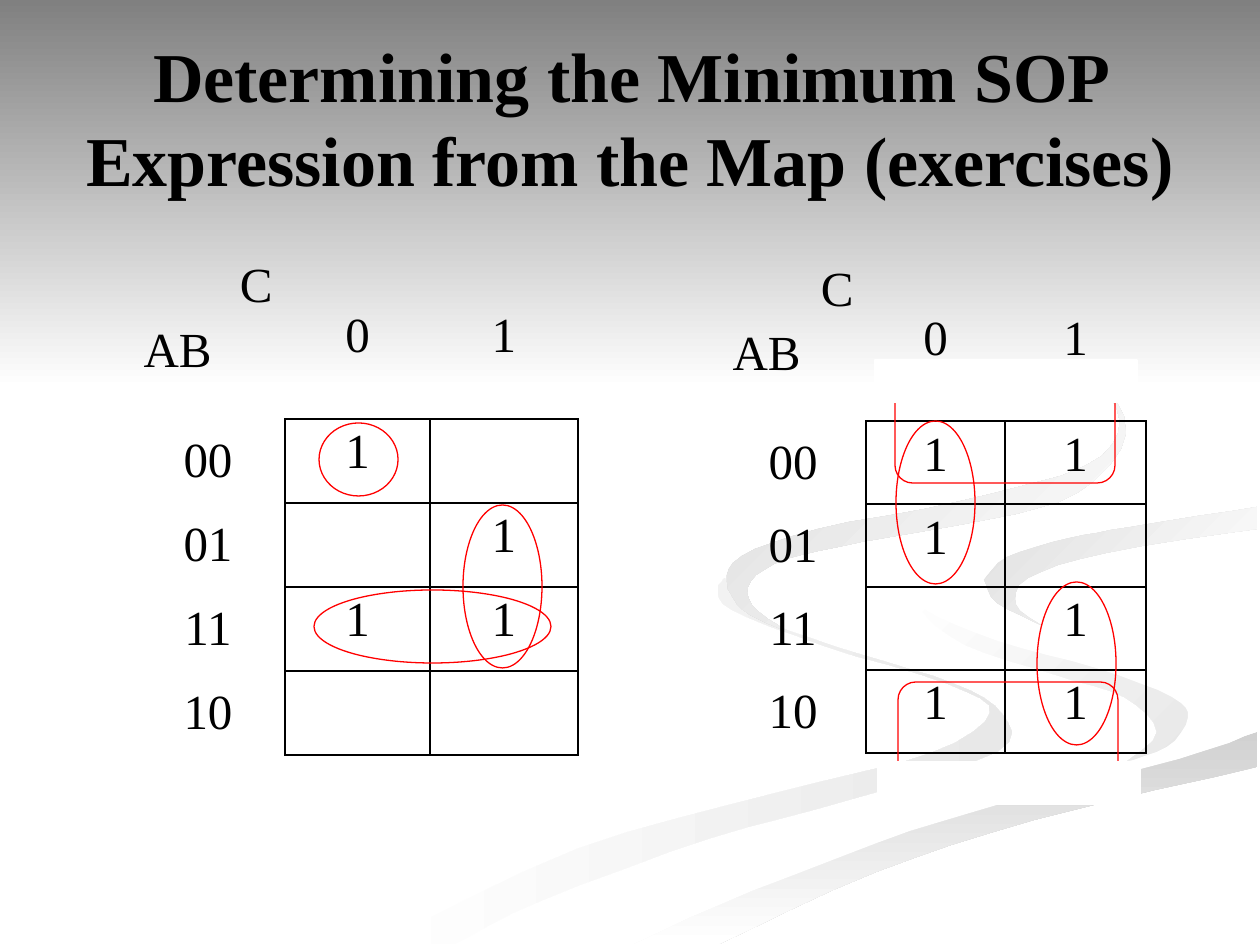
from lxml import etree
from pptx import Presentation, util as u
from pptx.dml.color import RGBColor
from pptx.enum import shapes, text
from pptx.oxml.ns import qn

PX = u.Inches(1) / 126
FONT = "Times New Roman"
COLORS = {
    "ink": "000000", "loop": "FF0000", "paper": "FFFFFF", "sky": "808080",
    "pale": "E8E8E8", "stream": "D1D1D1", "bend": "E0E0E0", "curl": "D8D8D8",
}
AB_ORDER = ["00", "01", "11", "10"]
C_ORDER = ["0", "1"]
LOOP_SIZES = {"single": (79, 73), "pair down": (79, 163), "pair across": (237, 73)}
STEPS_PER_KNOT = 4

SWOOSH_RIM = [(912, 585), (924, 609), (998, 641), (1096, 668), (1172, 697), (1188, 718),
              (1167, 747), (1126, 762)]
SWOOSH_INSIDE = [(1126, 762), (1157, 732), (1124, 697), (1056, 675), (965, 645),
                 (920, 610), (912, 585)]
STREAM_TOP = [(634, 944), (717, 906), (877, 843), (1004, 803), (1179, 759), (1257, 732)]
STREAM_BOTTOM = [(1257, 767), (1034, 820), (876, 872), (719, 944)]
BEND_TOP = [(984, 580), (1007, 557), (1070, 538), (1131, 527), (1257, 507)]
BEND_BOTTOM = [(1257, 529), (1106, 553), (1028, 578), (1016, 605), (1041, 625)]
BEND_TIP = [(1041, 625), (997, 603), (984, 580)]
RIBBON_TAIL = [(1126, 762), (983, 799), (780, 862), (601, 944)]
RIBBON_UNDERSIDE = [(1259, 678), (1139, 654), (1029, 620), (984, 580)]
RIBBON_CREST = [(1259, 488), (1072, 518), (935, 553), (912, 585)]
TAIL_OUTSIDE = [(378, 944), (577, 849), (776, 793), (931, 753), (990, 713), (948, 684),
                (824, 646), (732, 610), (718, 590), (725, 578)]
TAIL_INSIDE = [(725, 578), (735, 601), (774, 625), (859, 654), (954, 684), (1002, 714),
               (997, 752), (852, 799), (711, 838), (543, 900), (455, 944)]
CURL_INSIDE = [(960, 294), (1014, 320), (1086, 368), (1120, 422), (1085, 466), (961, 501),
               (818, 529), (742, 556), (727, 582), (743, 610), (784, 630)]
CURL_OUTSIDE = [(784, 630), (752, 605), (751, 581), (786, 559), (861, 542), (990, 519),
                (1077, 493), (1126, 433), (1089, 367), (1021, 323), (960, 294)]

BACKDROP = [
    ([TAIL_OUTSIDE, TAIL_INSIDE], "paper", "pale", 0),
    ([SWOOSH_RIM, SWOOSH_INSIDE], "paper", "pale", 45),
    ([STREAM_TOP, STREAM_BOTTOM], "stream", "paper", 90),
    ([SWOOSH_RIM, RIBBON_TAIL, STREAM_TOP, RIBBON_UNDERSIDE, BEND_TOP, RIBBON_CREST],
     "paper", "paper", 0),
    ([BEND_TOP, BEND_BOTTOM, BEND_TIP], "bend", "paper", 45),
    ([CURL_INSIDE, CURL_OUTSIDE], "curl", "paper", 45),
    ([[(0, 0), (1260, 0)], [(1260, 388), (0, 388)]], "sky", "paper", 90),
]


def px(*lengths):
    return [u.Emu(round(length * PX)) for length in lengths]


def color(name):
    return RGBColor.from_string(COLORS[name])


def catmull_rom(before, start, end, after, t):
    return round(start + t / 2 * (
        end - before
        + t * (2 * before - 5 * start + 4 * end - after)
        + t * t * (3 * (start - end) + after - before)
    ))


def smooth(knots):
    padded = [knots[0], *knots, knots[-1]]
    curve = []
    for neighbours in zip(padded, padded[1:], padded[2:], padded[3:]):
        xs, ys = zip(*neighbours)
        for step in range(STEPS_PER_KNOT):
            t = step / STEPS_PER_KNOT
            curve.append((catmull_rom(*xs, t), catmull_rom(*ys, t)))
    return curve + [knots[-1]]


def add_ribbon(slide, edges, start, end, clockwise):
    outline = [point for edge in edges for point in smooth(edge)]
    builder = slide.shapes.build_freeform(*outline[0], scale=PX)
    builder.add_line_segments(outline[1:], close=True)
    ribbon = builder.convert_to_shape()
    ribbon.shadow.inherit = False
    ribbon.line.fill.background()
    if start == end:
        ribbon.fill.solid()
        ribbon.fill.fore_color.rgb = color(start)
        return
    ribbon.fill.gradient()
    ribbon.fill.gradient_angle = (360 - clockwise) % 360
    for stop, name in zip(ribbon.fill.gradient_stops, (start, end)):
        stop.color.rgb = color(name)


def style_text(paragraph, size, bold=False):
    paragraph.alignment = text.PP_ALIGN.CENTER
    font = paragraph.font
    font.name, font.size, font.bold = FONT, u.Pt(size), bold
    font.color.rgb = color("ink")


def add_title(slide, wording):
    title = slide.shapes.add_textbox(*px(63, 37, 1134, 158)).text_frame
    title.word_wrap = True
    title.vertical_anchor = text.MSO_ANCHOR.MIDDLE
    title.text = wording
    style_text(title.paragraphs[0], 40, bold=True)


def set_borders(cell, sides):
    properties = cell._tc.get_or_add_tcPr()
    for side in "LRTB":
        border = etree.SubElement(properties, qn(f"a:ln{side}"), w=str(u.Pt(1)))
        if side in sides:
            fill = etree.SubElement(border, qn("a:solidFill"))
            etree.SubElement(fill, qn("a:srgbClr"), val=COLORS["ink"])
        else:
            etree.SubElement(border, qn("a:noFill"))


def fill_cell(cell, wording, sides, anchor=text.MSO_ANCHOR.MIDDLE):
    set_borders(cell, sides)
    cell.fill.background()
    cell.vertical_anchor = anchor
    cell.text = wording
    for paragraph in cell.text_frame.paragraphs:
        style_text(paragraph, 28)


def fill_corner(corner):
    fill_cell(corner, "C\nAB", "", text.MSO_ANCHOR.TOP)
    c_label, ab_label = corner.text_frame.paragraphs
    c_label.alignment = text.PP_ALIGN.RIGHT
    ab_label.alignment = text.PP_ALIGN.LEFT
    ab_label.space_before = u.Pt(5.6)


def add_karnaugh_map(slide, left, top, widths, header_height, row_height, ones):
    heights = [header_height] + [row_height] * len(AB_ORDER)
    box = px(left, top, sum(widths), sum(heights))
    kmap = slide.shapes.add_table(len(heights), len(widths), *box).table
    kmap.first_row = kmap.horz_banding = False
    for column, width in zip(kmap.columns, px(*widths)):
        column.width = width
    for row, height in zip(kmap.rows, px(*heights)):
        row.height = height

    fill_corner(kmap.cell(0, 0))
    for column, c in enumerate(C_ORDER, start=1):
        fill_cell(kmap.cell(0, column), c, "B")
    for row, ab in enumerate(AB_ORDER, start=1):
        fill_cell(kmap.cell(row, 0), ab, "R")
        for column, c in enumerate(C_ORDER, start=1):
            value = "1" if ab + c in ones else ""
            fill_cell(kmap.cell(row, column), value, "LRTB", text.MSO_ANCHOR.TOP)


def add_outline(slide, kind, box, line="loop", fill=None):
    outline = slide.shapes.add_shape(kind, *px(*box))
    outline.shadow.inherit = False
    outline.line.color.rgb = color(line)
    outline.line.width = u.Pt(0.75)
    if fill:
        outline.fill.solid()
        outline.fill.fore_color.rgb = color(fill)
    else:
        outline.fill.background()


def add_loop(slide, group, left, top):
    add_outline(slide, shapes.MSO_SHAPE.OVAL, (left, top, *LOOP_SIZES[group]))


def add_wrapping_loop(slide, left, top, mask_offset):
    loop_box = (left, top, 220, 106)
    mask_box = (left - 20, top + mask_offset, 262, 42)
    add_outline(slide, shapes.MSO_SHAPE.FLOWCHART_ALTERNATE_PROCESS, loop_box)
    add_outline(slide, shapes.MSO_SHAPE.RECTANGLE, mask_box, "paper", "paper")


def main():
    deck = Presentation()
    deck.slide_width, deck.slide_height = px(1260, 945)
    slide = deck.slides.add_slide(deck.slide_layouts[6])
    for ribbon in BACKDROP:
        add_ribbon(slide, *ribbon)
    add_title(slide, "Determining the Minimum SOP Expression from the Map (exercises)")

    add_karnaugh_map(slide, 131, 253, [154, 145, 148], 166, 84,
                     ones={"000", "011", "110", "111"})
    add_karnaugh_map(slide, 720, 256, [146, 139, 141], 165, 83,
                     ones={"000", "001", "010", "111", "100", "101"})

    add_loop(slide, "pair down", 463, 505)
    add_loop(slide, "single", 319, 423)
    add_loop(slide, "pair across", 314, 590)
    add_wrapping_loop(slide, 895, 377, mask_offset=-17)
    add_wrapping_loop(slide, 898, 682, mask_offset=80)
    add_loop(slide, "pair down", 896, 421)
    add_loop(slide, "pair down", 1037, 582)
    deck.save("out.pptx")


if __name__ == "__main__":
    main()
